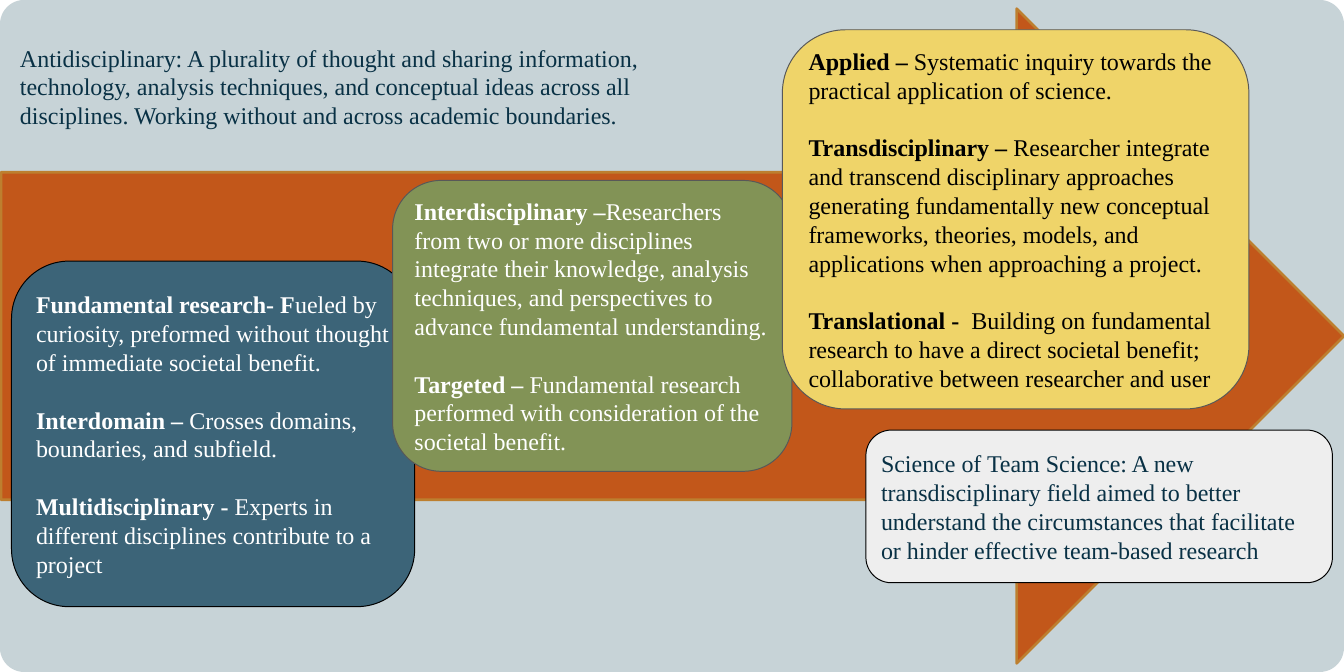
import pptx
import pptx.util
import pptx.dml.color
import pptx.enum.shapes
import pptx.enum.text

# Content: each paragraph is (bold lead, plain text)
FUNDAMENTAL = [
    ("Fundamental research- F",
     "ueled by curiosity, preformed without thought of immediate societal benefit."),
    ("Interdomain – ", "Crosses domains, boundaries, and subfield. "),
    ("Multidisciplinary -", " Experts in different disciplines contribute to a project"),
]
TARGETED = [
    ("Interdisciplinary –",
     "Researchers from two or more disciplines integrate their knowledge, analysis "
     "techniques, and perspectives to advance fundamental understanding. "),
    ("Targeted –",
     " Fundamental research performed with consideration of the societal benefit. "),
]
APPLIED = [
    ("Applied –", " Systematic inquiry towards the practical application of science. "),
    ("Transdisciplinary – ",
     "Researcher integrate and transcend disciplinary approaches generating "
     "fundamentally new conceptual frameworks, theories, models, and applications "
     "when approaching a project. "),
    ("Translational - ",
     " Building on fundamental research to have a direct societal benefit; "
     "collaborative between researcher and user"),
]
TEAM_SCIENCE = [
    ("", "Science of Team Science: A new transdisciplinary field aimed to better "
         "understand the circumstances that facilitate or hinder effective "
         "team-based research"),
]
ANTIDISCIPLINARY = [
    ("", "Antidisciplinary: A plurality of thought and sharing information, technology, "
         "analysis techniques, and conceptual ideas across all disciplines. Working "
         "without and across academic boundaries. "),
]

THEME = {
    "font": "Times New Roman", "size": 18, "gap": 21.6, "inset": 0.08,
    "panel": "C7D3D7", "arrow": "C2571A", "arrow line": "BD7F2F",
    "blue": "3C6478", "green": "829356", "yellow": "EFD469", "pale": "EEEEEE",
    "black": "000000", "grey": "585858", "white": "FFFFFF", "navy": "093145",
}
WIDTH, HEIGHT = 14, 7

# Cards, back to front: paragraphs, (left, top, width, height), fill, line, text colour
CARDS = [
    (FUNDAMENTAL, (0.12, 2.72, 4.2, 3.6), "blue", "black", "white"),
    (TARGETED, (4.09, 1.88, 4.16, 3.03), "green", "grey", "white"),
    (APPLIED, (8.15, 0.31, 4.86, 3.95), "yellow", "grey", "black"),
    (TEAM_SCIENCE, (9.02, 4.48, 4.86, 1.59), "pale", "black", "navy"),
]

presentation = pptx.Presentation()
presentation.slide_width = pptx.util.Inches(WIDTH)
presentation.slide_height = pptx.util.Inches(HEIGHT)
slide = presentation.slides.add_slide(presentation.slide_layouts[6])


def color(name):
    return pptx.dml.color.RGBColor.from_string(THEME[name])


def add_block(kind, box, fill, line=None, line_width=0.75):
    shape = slide.shapes.add_shape(kind, *map(pptx.util.Inches, box))
    shape.shadow.inherit = False
    shape.fill.solid()
    shape.fill.fore_color.rgb = color(fill)
    if line:
        shape.line.color.rgb = color(line)
        shape.line.width = pptx.util.Pt(line_width)
    else:
        shape.line.fill.background()
    return shape


def write(text_frame, paragraphs, text_color):
    text_frame.word_wrap = True
    for index, parts in enumerate(paragraphs):
        paragraph = text_frame.paragraphs[0] if index == 0 else text_frame.add_paragraph()
        paragraph.alignment = pptx.enum.text.PP_ALIGN.LEFT
        if index:
            paragraph.space_before = pptx.util.Pt(THEME["gap"])
        for bold, text in zip((True, False), parts):
            if text:
                run = paragraph.add_run()
                run.text = text
                run.font.name = THEME["font"]
                run.font.size = pptx.util.Pt(THEME["size"])
                run.font.bold = bold
                run.font.color.rgb = color(text_color)


# Background panel and arrow
SHAPES = pptx.enum.shapes.MSO_SHAPE
panel = add_block(SHAPES.ROUNDED_RECTANGLE, (0, 0, WIDTH, HEIGHT), "panel")
panel.adjustments[0] = 0.036
add_block(SHAPES.RIGHT_ARROW, (0.01, 0.09, WIDTH - 0.01, 6.82), "arrow", "arrow line", 2)

# Research cards
for paragraphs, box, fill, line, text_color in CARDS:
    card = add_block(SHAPES.ROUNDED_RECTANGLE, box, fill, line)
    frame = card.text_frame
    frame.vertical_anchor = pptx.enum.text.MSO_ANCHOR.MIDDLE
    frame.margin_left = frame.margin_right = pptx.util.Inches(THEME["inset"])
    frame.margin_top = frame.margin_bottom = pptx.util.Inches(THEME["inset"])
    write(frame, paragraphs, text_color)

# Heading text
heading = slide.shapes.add_textbox(*map(pptx.util.Inches, (0.11, 0.4, 7.6, 1.01)))
write(heading.text_frame, ANTIDISCIPLINARY, "navy")
heading.text_frame.auto_size = pptx.enum.text.MSO_AUTO_SIZE.SHAPE_TO_FIT_TEXT

presentation.save("out.pptx")
